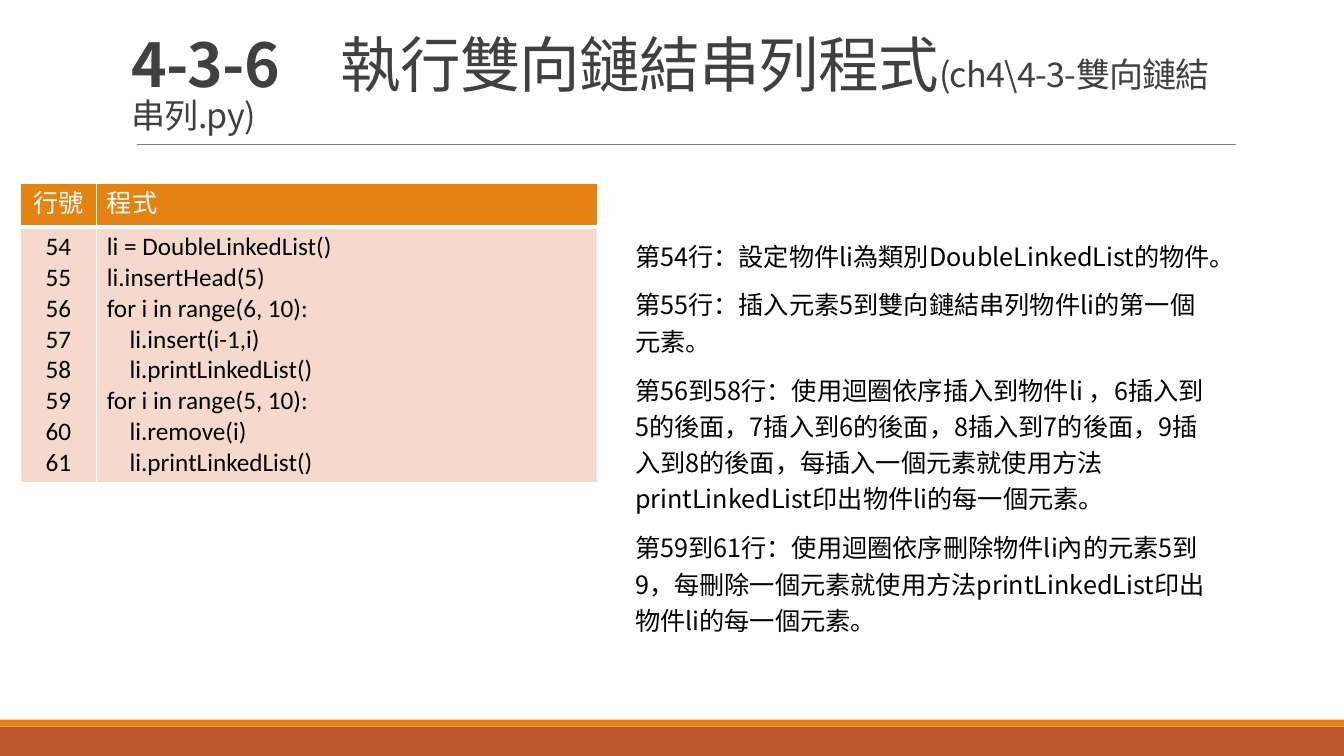
from dataclasses import dataclass

from lxml.etree import SubElement
from pptx import Presentation
from pptx.dml.color import RGBColor
from pptx.enum.shapes import MSO_CONNECTOR, MSO_SHAPE
from pptx.enum.text import MSO_ANCHOR, MSO_AUTO_SIZE, PP_ALIGN
from pptx.oxml.ns import qn
from pptx.slide import Slide
from pptx.table import _Cell
from pptx.text.text import TextFrame, _Paragraph
from pptx.util import Emu, Pt

EMU_PER_PX = 9144  # 100 px to the inch
RUST = RGBColor(0xBD, 0x58, 0x2C)
ORANGE = RGBColor(0xE4, 0x83, 0x12)
PEACH = RGBColor(0xF5, 0xD9, 0xCC)
GRAY = RGBColor(0x80, 0x80, 0x80)
DARK = RGBColor(0x40, 0x40, 0x40)
BLACK = RGBColor(0, 0, 0)
WHITE = RGBColor(0xFF, 0xFF, 0xFF)
NOTO = "Noto Sans CJK SC"
CALIBRI = "Calibri"
WIDTH, HEIGHT = 1333, 750


@dataclass(frozen=True)
class Band:
    top: int
    height: int
    color: RGBColor


@dataclass(frozen=True)
class TitleRun:
    text: str
    size: float
    bold: bool = False


@dataclass(frozen=True)
class Column:
    header: str
    lines: list[str]
    width: int
    align: PP_ALIGN


BANDS = [Band(721, 29, RUST), Band(714, 7, ORANGE)]
TITLE_RUNS = [
    TitleRun("4-3-6\u3000".replace("\u3000", "　"), 43.2, True),
    TitleRun("執行雙向鏈結串列程式", 43.2),
    TitleRun("(ch4\\4-3-雙向鏈結串列.py)", 24.3),
]
CODE = """li = DoubleLinkedList()
li.insertHead(5)
for i in range(6, 10):
    li.insert(i-1,i)
    li.printLinkedList()
for i in range(5, 10):
    li.remove(i)
    li.printLinkedList()""".split("\n")
FIRST_LINE = 54
COLUMNS = [
    Column("行號", [str(FIRST_LINE + i) for i in range(len(CODE))], 76, PP_ALIGN.CENTER),
    Column("程式", CODE, 497, PP_ALIGN.LEFT),
]
ROW_HEIGHTS = [43, 237]
NOTES = [
    "第54行：設定物件li為類別DoubleLinkedList的物件。",
    "第55行：插入元素5到雙向鏈結串列物件li的第一個元素。",
    "第56到58行：使用迴圈依序插入到物件li ，6插入到5的後面，7插入到6的後面，"
    "8插入到7的後面，9插入到8的後面，每插入一個元素就使用方法printLinkedList印出物件li的每一個元素。",
    "第59到61行：使用迴圈依序刪除物件li內的元素5到9，每刪除一個元素就使用方法"
    "printLinkedList印出物件li的每一個元素。",
]


def px(n: int) -> Emu:
    return Emu(n * EMU_PER_PX)


def add_run(p: _Paragraph, text: str, size: float, font: str, color: RGBColor,
            bold: bool = False, spacing: int = 0) -> None:
    r = p.add_run()
    r.text = text
    r.font.size = Pt(size)
    r.font.bold = bold
    r.font.color.rgb = color
    r.font.name = font
    rPr = r.font._element
    SubElement(rPr, qn("a:ea")).set("typeface", font)
    if spacing:
        rPr.set("spc", str(spacing))


def paragraph(tf: TextFrame, index: int) -> _Paragraph:
    return tf.add_paragraph() if index else tf.paragraphs[0]


def add_band(s: Slide, band: Band) -> None:
    sp = s.shapes.add_shape(MSO_SHAPE.RECTANGLE, 0, px(band.top), px(WIDTH), px(band.height))
    sp.shadow.inherit = False
    sp.fill.solid()
    sp.fill.fore_color.rgb = band.color
    sp.line.fill.background()


def add_title_rule(s: Slide) -> None:
    line = s.shapes.add_connector(MSO_CONNECTOR.STRAIGHT, px(136), px(143), px(1226), px(143))
    line.line.color.rgb = GRAY
    line.line.width = Pt(0.5)
    SubElement(line._element.spPr, qn("a:effectLst"))


def set_title(s: Slide) -> None:
    sp = s.shapes.title
    sp.left, sp.top, sp.width, sp.height = px(120), px(31), px(1100), px(108)
    tf = sp.text_frame
    tf.word_wrap = True
    tf.auto_size = MSO_AUTO_SIZE.NONE
    tf.vertical_anchor = MSO_ANCHOR.BOTTOM
    p = tf.paragraphs[0]
    p.alignment = PP_ALIGN.LEFT
    p.line_spacing = 0.85
    for run in TITLE_RUNS:
        add_run(p, run.text, run.size, NOTO, DARK, run.bold, -50)


def set_borders(cell: _Cell, bottom: int) -> None:
    tcPr = cell._tc.get_or_add_tcPr()
    for i, (side, width) in enumerate([("L", 1), ("R", 1), ("T", 1), ("B", bottom)]):
        ln = tcPr.makeelement(qn(f"a:ln{side}"), {"w": str(Pt(width))})
        fill = SubElement(ln, qn("a:solidFill"))
        SubElement(fill, qn("a:srgbClr")).set("val", str(WHITE))
        tcPr.insert(i, ln)


def fill_cell(cell: _Cell, lines: list[str], align: PP_ALIGN,
              fill: RGBColor, color: RGBColor, bottom: int) -> None:
    cell.fill.solid()
    cell.fill.fore_color.rgb = fill
    set_borders(cell, bottom)
    for i, text in enumerate(lines):
        p = paragraph(cell.text_frame, i)
        p.alignment = align
        add_run(p, text, 18, CALIBRI, color)


def add_code_table(s: Slide) -> None:
    width = sum(c.width for c in COLUMNS)
    table = s.shapes.add_table(len(ROW_HEIGHTS), len(COLUMNS), px(20), px(182),
                               px(width), px(sum(ROW_HEIGHTS))).table
    for row, height in zip(table.rows, ROW_HEIGHTS):
        row.height = px(height)
    for i, column in enumerate(COLUMNS):
        table.columns[i].width = px(column.width)
        fill_cell(table.cell(0, i), [column.header], column.align, ORANGE, WHITE, 3)
        fill_cell(table.cell(1, i), column.lines, column.align, PEACH, BLACK, 1)


def add_notes(s: Slide) -> None:
    tf = s.shapes.add_textbox(px(620), px(228), px(591), px(408)).text_frame
    tf.word_wrap = True
    tf.auto_size = MSO_AUTO_SIZE.SHAPE_TO_FIT_TEXT
    for i, text in enumerate(NOTES):
        p = paragraph(tf, i)
        p.line_spacing = 1.2
        p.space_before = Pt(6 if i else 0)
        p.space_after = Pt(3)
        add_run(p, text, 18, NOTO, BLACK)


def main() -> None:
    prs = Presentation()
    prs.slide_width, prs.slide_height = px(WIDTH), px(HEIGHT)
    s = prs.slides.add_slide(prs.slide_layouts[5])
    for band in BANDS:
        add_band(s, band)
    add_title_rule(s)
    set_title(s)
    add_code_table(s)
    add_notes(s)
    prs.save("out.pptx")


if __name__ == "__main__":
    main()
